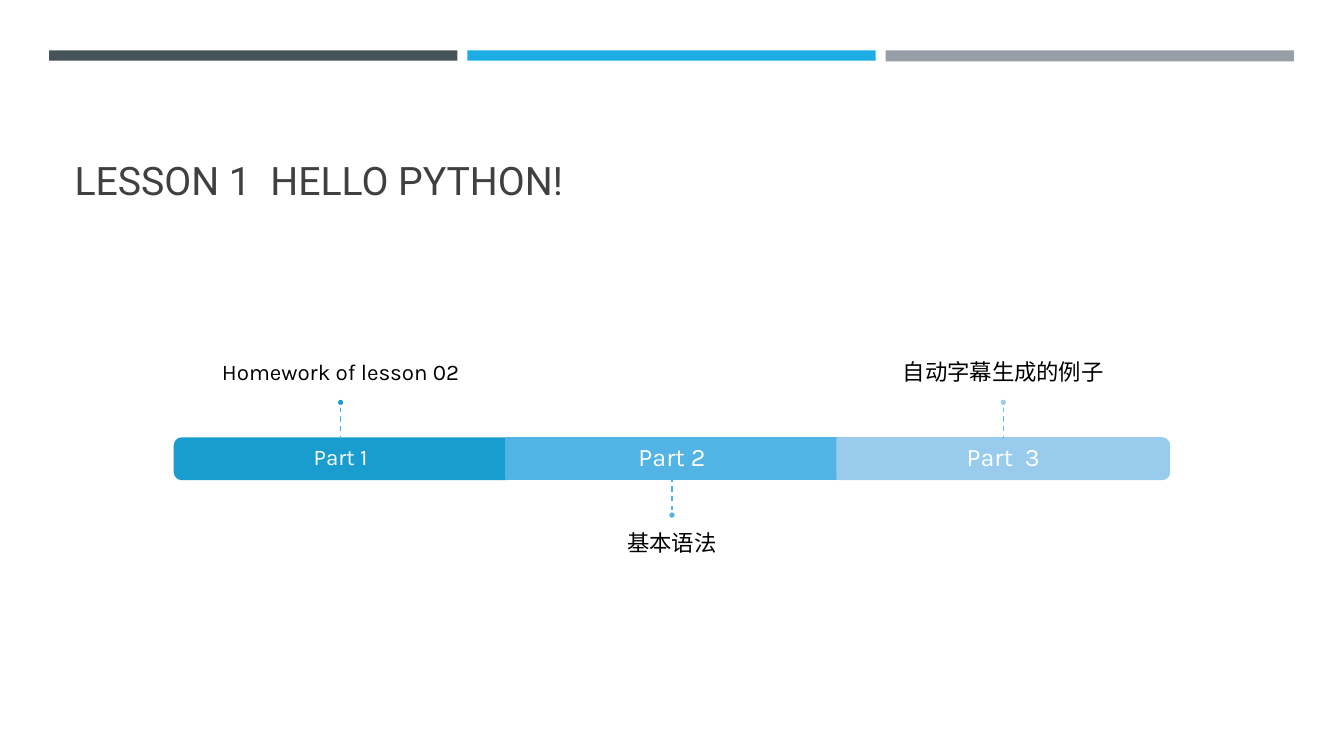
import pptx
import pptx.dml.color
import pptx.enum.dml
import pptx.enum.shapes
import pptx.enum.text
import pptx.oxml
import pptx.util

Cm = pptx.util.Cm
Pt = pptx.util.Pt
RGB = pptx.dml.color.RGBColor
SHAPE = pptx.enum.shapes.MSO_SHAPE
ALIGN = pptx.enum.text.PP_ALIGN
ANCHOR = pptx.enum.text.MSO_ANCHOR

WHITE = RGB(0xFF, 0xFF, 0xFF)
BLACK = RGB(0x00, 0x00, 0x00)
TITLE_GRAY = RGB(0x40, 0x40, 0x40)
BAND_COLORS = (
    (RGB(0x46, 0x53, 0x59), 0.26),
    (RGB(0x1C, 0xAD, 0xE4), 0.26),
    (RGB(0x96, 0x9F, 0xA7), 0.28),
)
PARTS = (
    ("Part 1", 16, "Homework of lesson 02", RGB(0x19, 0x9D, 0xCF), RGB(0x36, 0xB3, 0xE9)),
    ("Part 2", 18, "基本语法", RGB(0x52, 0xB3, 0xE5), RGB(0x48, 0xB8, 0xEC)),
    ("Part  3", 18, "自动字幕生成的例子", RGB(0x99, 0xCB, 0xEC), RGB(0x5A, 0xBE, 0xEF)),
)


def write(tf, text, size, color, font="Karla", align=ALIGN.CENTER,
          anchor=ANCHOR.MIDDLE, insets=(0, 0, 0, 0), spacing=0.9):
    tf.word_wrap = True
    tf.auto_size = pptx.enum.text.MSO_AUTO_SIZE.NONE
    tf.vertical_anchor = anchor
    tf.margin_left, tf.margin_top, tf.margin_right, tf.margin_bottom = map(Cm, insets)
    p = tf.paragraphs[0]
    p.alignment = align
    p.line_spacing = spacing
    r = p.add_run()
    r.text = text
    r.font.name = font
    r.font.size = Pt(size)
    r.font.color.rgb = color


def add_label(s, box, text, size, color, **fmt):
    write(s.shapes.add_textbox(*map(Cm, box)).text_frame, text, size, color, **fmt)


def add_block(s, kind, box, fill, line=None):
    sp = s.shapes.add_shape(kind, *map(Cm, box))
    sp.shadow.inherit = False
    sp.fill.solid()
    sp.fill.fore_color.rgb = fill
    if line is None:
        sp.line.fill.background()
    else:
        sp.line.color.rgb = line
        sp.line.width = Pt(1.75)
    return sp


def add_stem(s, x, y1, y2, color):
    c = s.shapes.add_connector(pptx.enum.shapes.MSO_CONNECTOR.STRAIGHT,
                               Cm(x), Cm(y1), Cm(x), Cm(y2))
    c.line.color.rgb = color
    c.line.width = Pt(1)
    c.line.dash_style = pptx.enum.dml.MSO_LINE.DASH
    c._element.spPr.append(pptx.oxml.parse_xml(
        '<a:effectLst xmlns:a="http://schemas.openxmlformats.org/drawingml/2006/main"/>'))


def add_bands(s, left, top, width, gap):
    band_w = (width - gap * (len(BAND_COLORS) - 1)) / len(BAND_COLORS)
    for i, (color, height) in enumerate(BAND_COLORS):
        add_block(s, SHAPE.RECTANGLE, (left + i * (band_w + gap), top, band_w, height), color)


def add_title(s, left, top, width, height):
    sp = s.shapes.title
    sp.left, sp.top, sp.width, sp.height = map(Cm, (left, top, width, height))
    write(sp.text_frame, "LESSON 1  HELLO PYTHON!", 28, TITLE_GRAY, font="Roboto",
          align=ALIGN.LEFT, anchor=ANCHOR.BOTTOM, insets=(0.25, 0.13, 0.25, 0.13), spacing=1)


def add_part_bar(s, i, left, top, width, height, color):
    if i == 1:
        add_block(s, SHAPE.RECTANGLE, (left, top, width, height), color, color)
        return
    box = (left + (width - height) / 2, top + (height - width) / 2, height, width)
    sp = add_block(s, SHAPE.ROUND_2_SAME_RECTANGLE, box, color, color)
    sp.rotation = 270 if i == 0 else 90


def add_timeline(s, left, top, width, height):
    part_w = width / len(PARTS)
    stem, dot, label_w, label_h = 0.81, 0.2, 13.92, 3.53
    reach = stem + dot
    for i, (name, size, topic, color, stem_color) in enumerate(PARTS):
        x = left + i * part_w
        center = x + part_w / 2
        add_part_bar(s, i, x, top, part_w, height, color)
        add_label(s, (x, top, part_w, height), name, size, WHITE)
        if i % 2 == 0:
            edge, tip, dot_top = top, top - stem, top - reach
            label_top, anchor, insets = dot_top - label_h, ANCHOR.BOTTOM, (0, 0, 0, 0.33)
        else:
            edge = top + height
            tip = dot_top = edge + stem
            label_top, anchor, insets = edge + reach, ANCHOR.TOP, (0, 0.33, 0, 0)
        add_label(s, (center - label_w / 2, label_top, label_w, label_h), topic, 16, BLACK,
                  anchor=anchor, insets=insets)
        add_stem(s, center, tip, edge, stem_color)
        add_block(s, SHAPE.OVAL, (center - dot / 2, dot_top, dot, dot), color, WHITE)


def main():
    prs = pptx.Presentation()
    prs.slide_width, prs.slide_height = Cm(33.87), Cm(19.05)
    s = prs.slides.add_slide(prs.slide_layouts[5])
    add_bands(s, 1.24, 1.27, 31.37, 0.25)
    add_title(s, 1.63, 1.96, 30.63, 3.3)
    add_timeline(s, 4.41, 11.05, 25.05, 1.02)
    prs.save("out.pptx")


if __name__ == "__main__":
    main()
